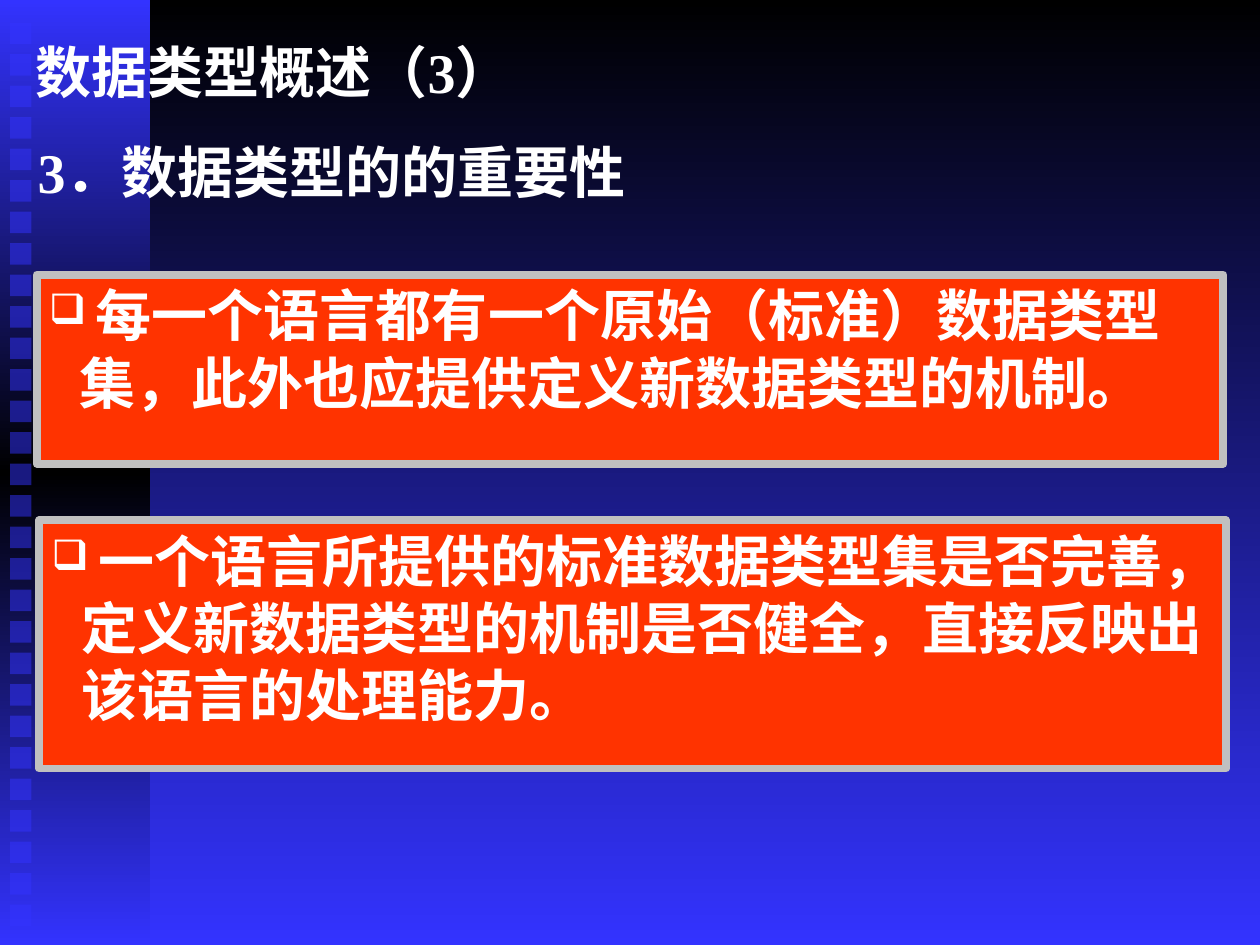
from copy import deepcopy
from dataclasses import dataclass

from lxml.etree import SubElement
from pptx import Presentation
from pptx.dml.color import RGBColor
from pptx.enum.shapes import MSO_SHAPE
from pptx.enum.text import MSO_ANCHOR, PP_ALIGN
from pptx.oxml.ns import qn
from pptx.util import Inches, Pt


@dataclass(frozen=True)
class Theme:
    blue: str = "3333FF"
    black: str = "000000"
    white: str = "FFFFFF"
    red: str = "FF3300"
    gray: str = "C0C0C0"
    font: str = "Times New Roman"
    body: int = 32
    mark: int = 24
    edge: float = 4.5


@dataclass(frozen=True)
class Box:
    left: float
    top: float
    width: float
    height: float


@dataclass(frozen=True)
class Point:
    box: Box
    text: str


THEME = Theme()
POINTS = [
    Point(Box(0.29, 2.18, 9.42, 1.5),
          "每一个语言都有一个原始（标准）数据类型集，此外也应提供定义新数据类型的机制。"),
    Point(Box(0.31, 4.13, 9.42, 1.97),
          "一个语言所提供的标准数据类型集是否完善，定义新数据类型的机制是否健全，直接反映出该语言的处理能力。"),
]


def rgb(color: str) -> RGBColor:
    return RGBColor.from_string(color)


def place(box: Box) -> tuple:
    return tuple(Inches(n) for n in (box.left, box.top, box.width, box.height))


def add_rect(slide, box: Box):
    shape = slide.shapes.add_shape(MSO_SHAPE.RECTANGLE, *place(box))
    shape.shadow.inherit = False
    shape.line.fill.background()
    return shape


def shade(fill, start: str, end: str) -> None:
    """Fill with a gradient that runs from top to bottom."""
    fill.gradient()
    fill.gradient_angle = 270
    for stop, color, pos in zip(fill.gradient_stops, (start, end), (0, 1)):
        stop.color.rgb = rgb(color)
        stop.position = pos


def add_band(slide) -> None:
    band = add_rect(slide, Box(0, 0, 1.19, 7.5))
    shade(band.fill, THEME.blue, THEME.black)
    # Mirror the first stop at the foot of the band
    stops = band.fill.gradient_stops
    stops[1].position = 0.5
    stop_list = next(band.element.iter(qn("a:gsLst")))
    stop_list.append(deepcopy(stop_list[0]))
    band.fill.gradient_stops[2].position = 1


def add_tile(slide, top: float) -> None:
    tile = add_rect(slide, Box(0.08, top, 0.17, 0.17))
    tile.fill.solid()
    tile.fill.fore_color.rgb = rgb(THEME.blue)
    color = next(tile.element.iter(qn("a:srgbClr")))
    SubElement(color, qn("a:alpha"), val="50000")


def add_bullet(para) -> None:
    props = para._p.get_or_add_pPr()
    props.set("marL", str(Inches(0.24)))
    props.set("indent", str(-Inches(0.24)))
    color = SubElement(props, qn("a:buClr"))
    SubElement(color, qn("a:srgbClr"), val=THEME.white)
    SubElement(props, qn("a:buChar"), char="❑")


def write(shape, text: str, *, bullet: bool = False,
          anchor: MSO_ANCHOR = MSO_ANCHOR.TOP) -> None:
    frame = shape.text_frame
    frame.word_wrap = True
    frame.vertical_anchor = anchor
    para = frame.paragraphs[0]
    para.alignment = PP_ALIGN.LEFT
    runs = [(text, THEME.body)]
    if bullet:
        add_bullet(para)
        # The smaller space sets the bullet size
        runs.insert(0, (" ", THEME.mark))
    for words, size in runs:
        run = para.add_run()
        run.text = words
        font = run.font
        font.name, font.size, font.bold = THEME.font, Pt(size), True
        font.color.rgb = rgb(THEME.white)


def add_point(slide, point: Point) -> None:
    panel = add_rect(slide, point.box)
    panel.fill.solid()
    panel.fill.fore_color.rgb = rgb(THEME.red)
    panel.line.color.rgb = rgb(THEME.gray)
    panel.line.width = Pt(THEME.edge)
    write(panel, point.text, bullet=True)


def main() -> None:
    deck = Presentation()
    deck.slide_width, deck.slide_height = Inches(10), Inches(7.5)
    slide = deck.slides.add_slide(deck.slide_layouts[6])

    # Backdrop, side band and its column of tiles
    shade(slide.background.fill, THEME.black, THEME.blue)
    add_band(slide)
    for row in range(29):
        add_tile(slide, 0.18 + 0.25 * row)

    # Title and heading
    title = slide.shapes.add_textbox(*place(Box(0.08, 0.21, 8.5, 0.71)))
    write(title, " 数据类型概述（3）", anchor=MSO_ANCHOR.MIDDLE)
    head = slide.shapes.add_textbox(*place(Box(0.2, 1.04, 8.75, 0.67)))
    write(head, "3．数据类型的的重要性")

    # Key points
    for point in POINTS:
        add_point(slide, point)

    deck.save("out.pptx")


if __name__ == "__main__":
    main()
